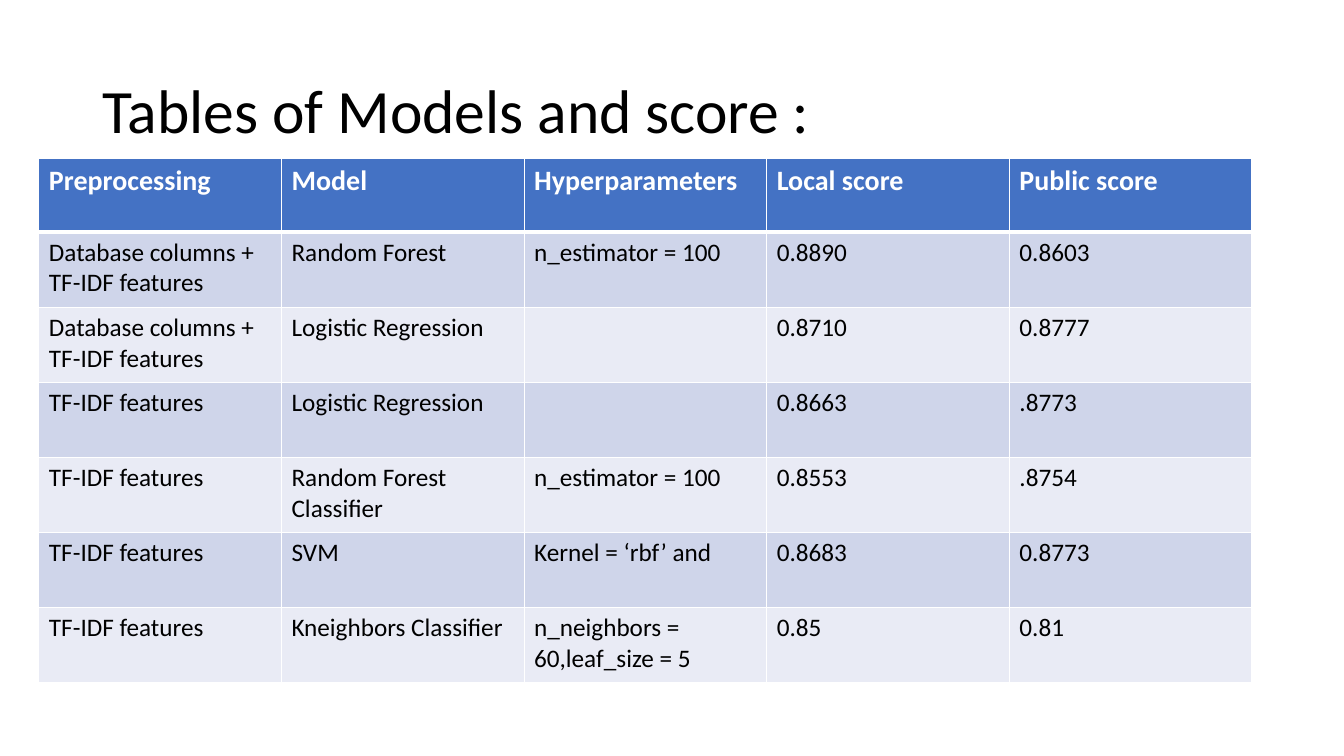
from lxml import etree
from pptx import Presentation
from pptx.dml.color import RGBColor
from pptx.enum.text import MSO_ANCHOR, PP_ALIGN
from pptx.oxml.ns import qn
from pptx.util import Cm, Pt

LEFT = PP_ALIGN.LEFT
MIDDLE = MSO_ANCHOR.MIDDLE
FONT = "Calibri"
BLACK = RGBColor(0x00, 0x00, 0x00)
WHITE = RGBColor(0xFF, 0xFF, 0xFF)
BLUE = RGBColor(0x44, 0x72, 0xC4)
BANDS = RGBColor(0xE9, 0xEB, 0xF5), RGBColor(0xCF, 0xD5, 0xEA)

MIXED = "Database columns + TF-IDF features"
TFIDF = "TF-IDF features"
SCORES = [
    ("Preprocessing", "Model", "Hyperparameters", "Local score", "Public score"),
    (MIXED, "Random Forest", "n_estimator = 100", "0.8890", "0.8603"),
    (MIXED, "Logistic Regression", "", "0.8710", "0.8777"),
    (TFIDF, "Logistic Regression", "", "0.8663", ".8773"),
    (TFIDF, "Random Forest Classifier", "n_estimator = 100", "0.8553", ".8754"),
    (TFIDF, "SVM", "Kernel = ‘rbf’ and", "0.8683", "0.8773"),
    (TFIDF, "Kneighbors Classifier", "n_neighbors = 60,leaf_size = 5", "0.85", "0.81"),
]


def set_font(para, size, color, bold=False):
    font = para.font
    font.name, font.size, font.bold = FONT, Pt(size), bold
    font.color.rgb = color


def add_edge(cell, side, width):
    props = cell._tc.get_or_add_tcPr()
    line = etree.SubElement(props, qn("a:ln" + side), w=str(Pt(width)))
    fill = etree.SubElement(line, qn("a:solidFill"))
    etree.SubElement(fill, qn("a:srgbClr"), val=str(WHITE))


def add_title(slide, text, left, top, width, height):
    title = slide.shapes.title
    title.left, title.top, title.width, title.height = left, top, width, height
    frame = title.text_frame
    frame.text = text
    frame.vertical_anchor = MIDDLE
    para = frame.paragraphs[0]
    para.alignment = LEFT
    para.line_spacing = 0.9
    set_font(para, 44, BLACK)


def add_scores(slide, rows, left, top, width, height):
    count = len(rows[0])
    table = slide.shapes.add_table(len(rows), count, left, top, width, height).table
    for col in table.columns:
        col.width = width // count
    # The heading row is slightly lower than the body rows
    head = Cm(1.85)
    for r, values in enumerate(rows):
        table.rows[r].height = head if r == 0 else (height - head) // (len(rows) - 1)
        for c, value in enumerate(values):
            cell = table.cell(r, c)
            # White grid, heavier under the heading
            for side in "LRTB":
                heavy = (r, side) in ((0, "B"), (1, "T"))
                add_edge(cell, side, 3 if heavy else 1)
            cell.fill.solid()
            cell.fill.fore_color.rgb = BANDS[r % 2] if r else BLUE
            cell.text = value
            para = cell.text_frame.paragraphs[0]
            if r == 0:
                set_font(para, 20, WHITE, True)
            else:
                set_font(para, 18, BLACK)


def main():
    deck = Presentation()
    deck.slide_width, deck.slide_height = Cm(33.87), Cm(19.05)
    slide = deck.slides.add_slide(deck.slide_layouts[5])
    add_title(slide, "Tables of Models and score :",
              Cm(2.33), Cm(1.01), Cm(29.21), Cm(3.68))
    add_scores(slide, SCORES, Cm(0.98), Cm(4), Cm(30.57), Cm(13.2))
    deck.save("out.pptx")


if __name__ == "__main__":
    main()
